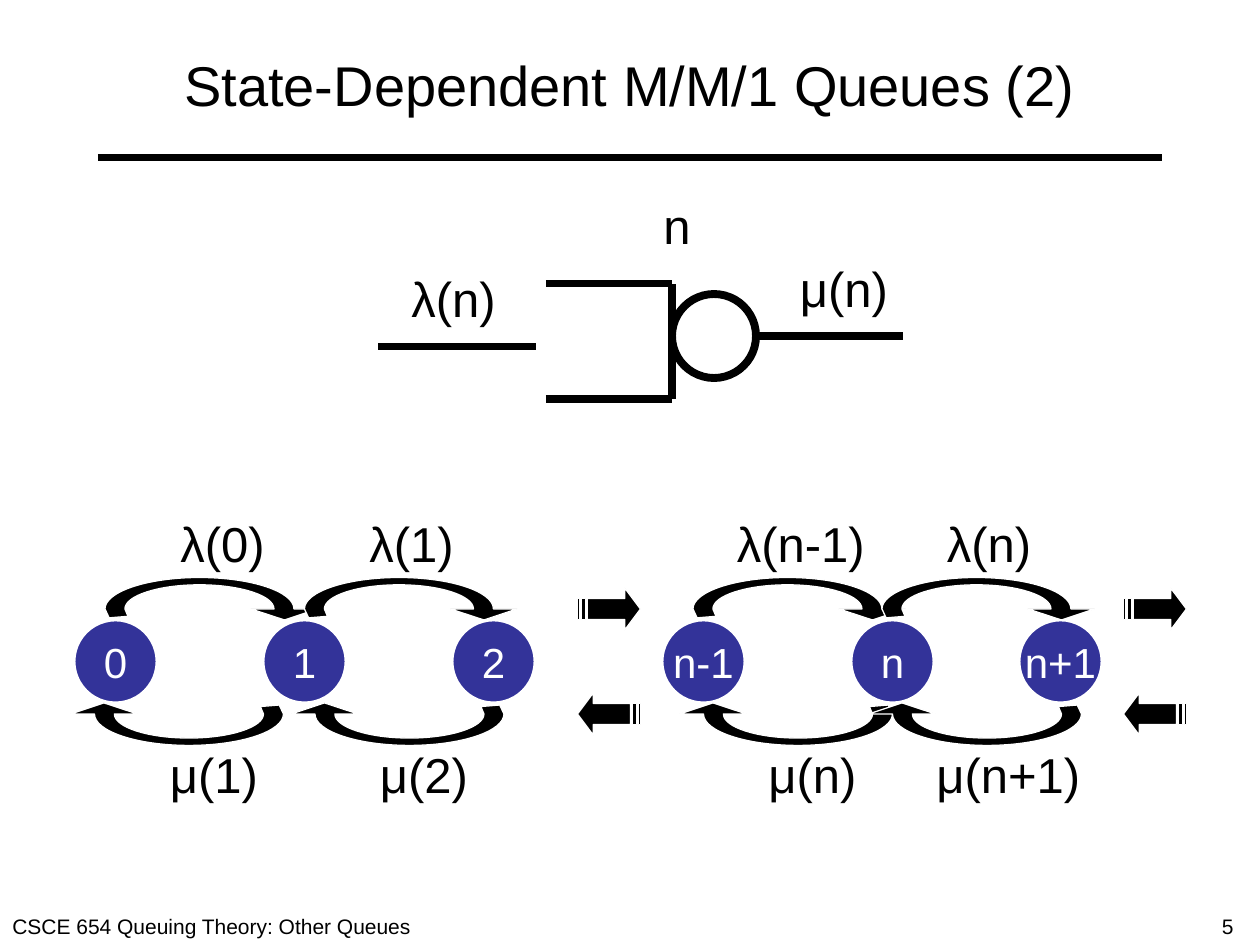
import pptx
import pptx.dml.color
import pptx.enum.shapes
import pptx.enum.text
import pptx.oxml.ns
import pptx.util
from lxml import etree

BLACK = pptx.dml.color.RGBColor(0x00, 0x00, 0x00)
WHITE = pptx.dml.color.RGBColor(0xFF, 0xFF, 0xFF)
BLUE = pptx.dml.color.RGBColor(0x33, 0x33, 0x99)
FONT = "Arial"

# All positions are in grid units: 12 to the inch, so the slide is 120 by 90.
UNIT = pptx.util.Inches(1) / 12
CIRCLE_SIZE = 8
LABEL_HEIGHT = 6.8
STATE_TOP = 59
ARRIVAL_LABEL_TOP, SERVICE_LABEL_TOP = 48.33, 70.33
ARRIVAL_ARROW_TOP, SERVICE_ARROW_TOP = 55, 65
ARROW_SIZE = (18, 6)
STRIPED_SIZE = (6, 4)
CIRCLE_FACTOR = 0.55  # Bezier handle length of a quarter ellipse

TITLE = "State-Dependent M/M/1 Queues (2)"
FOOTERS = [("CSCE 654 Queuing Theory: Other Queues", 0, 49), ("5", 115.2, 4.8)]
STATES = [("0", 7), ("1", 25), ("2", 43), ("n-1", 63), ("n", 81), ("n+1", 97)]
# Left edges of the arrival and service arrows between neighbouring states
TRANSITIONS = [(10, 9), (29, 30), (66, 67), (84, 85)]
CONTINUATIONS = [55, 107]
LABELS = [  # text, left, top, width
    ("λ(0)", 16, ARRIVAL_LABEL_TOP, 10.7),
    ("λ(1)", 34, ARRIVAL_LABEL_TOP, 10.7),
    ("λ(n-1)", 69, ARRIVAL_LABEL_TOP, 14.9),
    ("λ(n)", 89, ARRIVAL_LABEL_TOP, 10.7),
    ("μ(1)", 15, SERVICE_LABEL_TOP, 10.8),
    ("μ(2)", 35, SERVICE_LABEL_TOP, 10.8),
    ("μ(n)", 72, SERVICE_LABEL_TOP, 10.8),
    ("μ(n+1)", 88, SERVICE_LABEL_TOP, 16.2),
    ("λ(n)", 38, 25, 10.7),
    ("μ(n)", 75, 24, 10.8),
    ("n", 62, 18, 5),
]
TITLE_RULE = (9.33, 15, 110.67, 15)
QUEUE_LINES = [
    (36, 33, 51, 33),
    (52, 27, 64, 27),
    (52, 38, 64, 38),
    (64, 38, 64, 27),
    (72, 32, 86, 32),
]
SERVER = (64, 28)


def grid(*values):
    return [pptx.util.Emu(round(value * UNIT)) for value in values]


def add_run(paragraph, text, size, color=BLACK):
    run = paragraph.add_run()
    run.text = text
    run.font.name = FONT
    run.font.size = pptx.util.Pt(size)
    run.font.color.rgb = color


def add_text(slide, text, left, top, width, height, size):
    frame = slide.shapes.add_textbox(*grid(left, top, width, height)).text_frame
    frame.word_wrap = False
    add_run(frame.paragraphs[0], text, size)


def add_line(slide, ends):
    line = slide.shapes.add_connector(
        pptx.enum.shapes.MSO_CONNECTOR.STRAIGHT, *grid(*ends))
    line.line.color.rgb = BLACK
    line.line.width = pptx.util.Pt(4.5)
    properties = line.element.find(pptx.oxml.ns.qn("p:spPr"))
    etree.SubElement(properties, pptx.oxml.ns.qn("a:effectLst"))


def add_circle(slide, left, top, fill, line_color, line_width):
    circle = slide.shapes.add_shape(
        pptx.enum.shapes.MSO_SHAPE.OVAL, *grid(left, top, CIRCLE_SIZE, CIRCLE_SIZE))
    circle.shadow.inherit = False
    if fill is None:
        circle.fill.background()
    else:
        circle.fill.solid()
        circle.fill.fore_color.rgb = fill
    circle.line.color.rgb = line_color
    circle.line.width = pptx.util.Pt(line_width)
    return circle


def add_state(slide, text, left):
    frame = add_circle(slide, left, STATE_TOP, BLUE, WHITE, 2.25).text_frame
    frame.word_wrap = False
    frame.vertical_anchor = pptx.enum.text.MSO_ANCHOR.MIDDLE
    frame.paragraphs[0].alignment = pptx.enum.text.PP_ALIGN.CENTER
    add_run(frame.paragraphs[0], text, 24, WHITE)


def bend_segments(shape, starts):
    """Turn each three line segments that begin at a start index into a curve."""
    segments = list(shape.element.iter(pptx.oxml.ns.qn("a:lnTo")))
    for start in starts:
        first, *others = segments[start:start + 3]
        first.tag = pptx.oxml.ns.qn("a:cubicBezTo")
        for segment in others:
            first.append(segment[0])
            segment.getparent().remove(segment)


def set_frame(shape, left, top, width, height):
    """Give the shape this frame while its outline stays where it is."""
    shift_x, shift_y = shape.left - left, shape.top - top
    for point in shape.element.iter(pptx.oxml.ns.qn("a:pt")):
        point.set("x", str(int(point.get("x")) + shift_x))
        point.set("y", str(int(point.get("y")) + shift_y))
    for outline in shape.element.iter(pptx.oxml.ns.qn("a:path")):
        outline.set("w", str(width))
        outline.set("h", str(height))
    shape.left, shape.top, shape.width, shape.height = left, top, width, height


def add_outline(slide, contours, left, top, size, turned, curve_starts=()):
    """Draw closed contours, rotated half a turn within their box if turned."""
    width, height = size

    def place(point):
        x, y = point
        if turned:
            x, y = width - x, height - y
        return tuple(grid(left + x, top + y))

    builder = slide.shapes.build_freeform(*place(contours[0][0]), scale=1.0)
    for index, contour in enumerate(contours):
        points = [place(point) for point in contour]
        if index:
            builder.move_to(*points[0])
        builder.add_line_segments(points[1:], close=True)
    shape = builder.convert_to_shape()
    bend_segments(shape, curve_starts)
    set_frame(shape, *grid(left, top, width, height))
    shape.shadow.inherit = False
    shape.fill.solid()
    shape.fill.fore_color.rgb = BLACK
    shape.line.color.rgb = WHITE
    shape.line.width = pptx.util.Pt(0.75)


def upper_arc(radius_x, radius_y):
    """Bezier points of a half ellipse from right to left in the arrow box."""
    handle = CIRCLE_FACTOR
    shares = [(1, 0), (1, handle), (handle, 1), (0, 1),
              (-handle, 1), (-1, handle), (-1, 0)]
    center_x, center_y = ARROW_SIZE[0] / 2, ARROW_SIZE[1] / 2
    return [(center_x + radius_x * x, center_y - radius_y * y) for x, y in shares]


def add_curved_arrow(slide, left, top, turned):
    inner = upper_arc(7.1, 2.3)
    outer = upper_arc(9, 3)[::-1]
    tail = [(2.2, 3.7), (0.4, 3.85)]
    head = [(20.25, 3), (17.1, 4.05), (13.9, 3)]
    outer_start = len(inner + tail)
    add_outline(slide, [inner + tail + outer + head], left, top, ARROW_SIZE, turned,
                [0, 3, outer_start, outer_start + 3])


def striped_arrow():
    arrow = [(4.5, 0), (4.5, 1), (0.94, 1), (0.94, 3), (4.5, 3), (4.5, 4), (6, 2)]
    stripes = [[(start, 1), (start, 3), (end, 3), (end, 1)]
               for start, end in [(0.38, 0.75), (0, 0.19)]]
    return [arrow] + stripes


def main():
    presentation = pptx.Presentation()
    presentation.slide_width, presentation.slide_height = grid(120, 90)
    slide = presentation.slides.add_slide(presentation.slide_layouts[5])

    title = slide.shapes.title
    title.left, title.top, title.width, title.height = grid(6, 2, 108, 12)
    title.text_frame.vertical_anchor = pptx.enum.text.MSO_ANCHOR.MIDDLE
    title.text_frame.paragraphs[0].alignment = pptx.enum.text.PP_ALIGN.CENTER
    add_run(title.text_frame.paragraphs[0], TITLE, 32)
    add_line(slide, TITLE_RULE)
    for text, left, width in FOOTERS:
        add_text(slide, text, left, 86.4, width, 3.6, 12)

    for text, left in STATES:
        add_state(slide, text, left)
    for arrival_left, service_left in TRANSITIONS:
        add_curved_arrow(slide, arrival_left, ARRIVAL_ARROW_TOP, turned=False)
        add_curved_arrow(slide, service_left, SERVICE_ARROW_TOP, turned=True)
    for left in CONTINUATIONS:
        for top, turned in [(56, False), (66, True)]:
            add_outline(slide, striped_arrow(), left, top, STRIPED_SIZE, turned)

    for ends in QUEUE_LINES:
        add_line(slide, ends)
    add_circle(slide, *SERVER, None, BLACK, 4.5)
    for text, left, top, width in LABELS:
        add_text(slide, text, left, top, width, LABEL_HEIGHT, 28)

    presentation.save("out.pptx")


if __name__ == "__main__":
    main()
